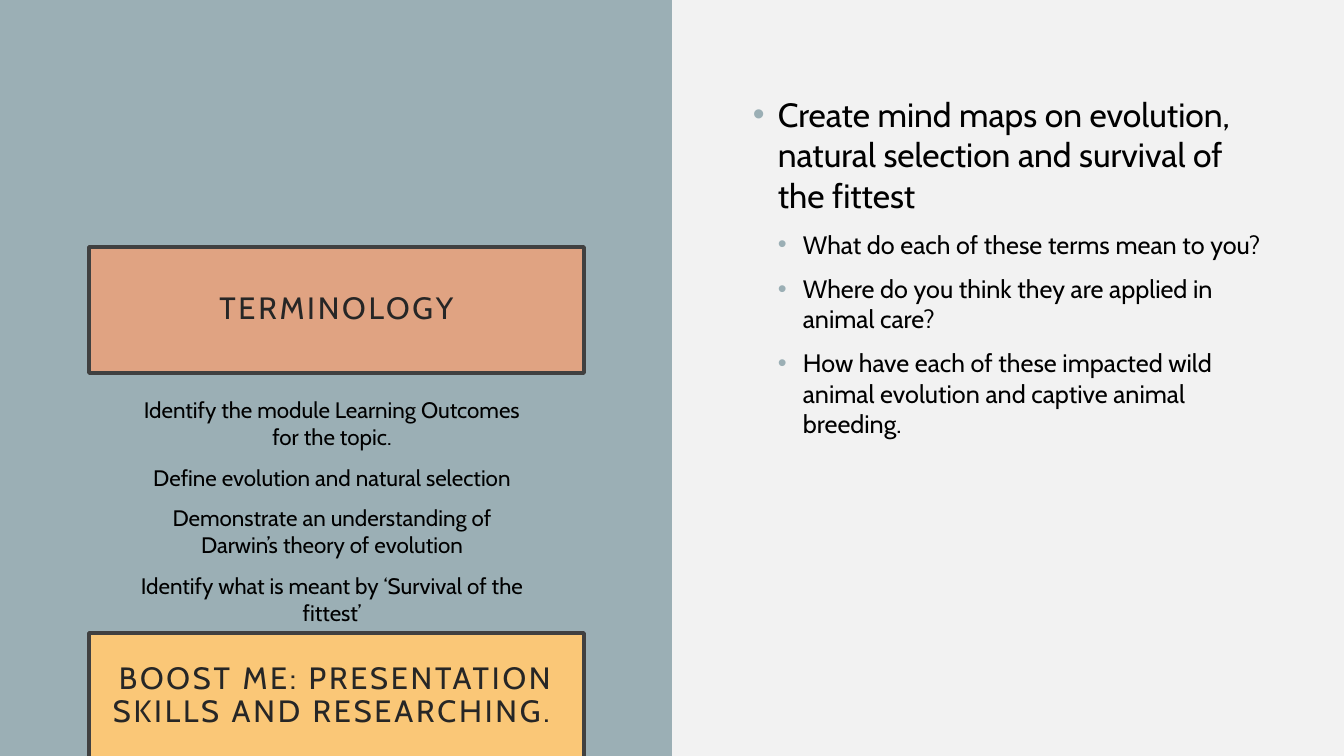
from pptx import Presentation
from pptx.dml.color import RGBColor
from pptx.enum.shapes import MSO_SHAPE
from pptx.enum.text import MSO_ANCHOR, PP_ALIGN
from pptx.oxml.ns import qn
from pptx.util import Emu, Pt
from lxml.etree import SubElement

PX = 914400 / 100.8
FONT = "Cabin"
COLORS = {
    "page": "F2F2F2",
    "panel": "9BAFB5",
    "terminology": "E0A382",
    "boost": "FAC777",
    "border": "404040",
    "heading": "262626",
    "text": "000000",
}
OUTCOMES = [
    "Identify the module Learning Outcomes for the topic.",
    "Define evolution and natural selection",
    "Demonstrate an understanding of Darwin’s theory of evolution",
    "Identify what is meant by ‘Survival of the fittest’",
]
TASK = "Create mind maps on evolution, natural selection and survival of the fittest"
QUESTIONS = [
    "What do each of these terms mean to you?",
    "Where do you think they are applied in animal care?",
    "How have each of these impacted wild animal evolution and captive animal breeding.",
]


def px(length):
    return Emu(round(length * PX))


def color(name):
    return RGBColor.from_string(COLORS[name])


def style(para, size, name):
    para.font.name = FONT
    para.font.size = Pt(size)
    para.font.color.rgb = color(name)


def add_rectangle(page, box, fill):
    shape = page.shapes.add_shape(MSO_SHAPE.RECTANGLE, *map(px, box))
    shape.shadow.inherit = False
    shape.fill.solid()
    shape.fill.fore_color.rgb = color(fill)
    shape.line.fill.background()
    return shape


def add_heading(page, box, text, fill):
    shape = add_rectangle(page, box, fill)
    shape.line.color.rgb = color("border")
    shape.line.width = Pt(2.5)
    frame = shape.text_frame
    frame.word_wrap = True
    frame.vertical_anchor = MSO_ANCHOR.MIDDLE
    frame.margin_left = frame.margin_right = px(20)
    frame.margin_top = frame.margin_bottom = px(20)
    frame.text = text
    para = frame.paragraphs[0]
    para.alignment = PP_ALIGN.CENTER
    para.line_spacing = 0.9
    style(para, 22, "heading")
    # Letter spacing of 2 points
    for span in para.runs:
        span.font._element.set("spc", "200")


def add_paragraphs(page, box, texts):
    frame = page.shapes.add_textbox(*map(px, box)).text_frame
    frame.word_wrap = True
    frame.text = "\n".join(texts)
    for para in frame.paragraphs[1:]:
        para.space_before = Pt(10)
    return frame.paragraphs


def add_bullet(para, level):
    para.level = level
    properties = para._p.get_or_add_pPr()
    properties.set("marL", str(px(25) * (level + 1)))
    properties.set("indent", str(-px(25)))
    bullet_color = SubElement(properties, qn("a:buClr"))
    SubElement(bullet_color, qn("a:srgbClr")).set("val", COLORS["panel"])
    SubElement(properties, qn("a:buFont")).set("typeface", "Arial")
    SubElement(properties, qn("a:buChar")).set("char", "•")


def add_outcomes_panel(page, box):
    left, top, width, height = box
    add_rectangle(page, box, "panel")
    # Framed headings
    add_heading(page, (left + 89, top + 247, 495, 126), "TERMINOLOGY", "terminology")
    add_heading(page, (left + 89, top + 633, 495, 126),
                "BOOST ME: PRESENTATION SKILLS AND RESEARCHING. ", "boost")
    # Learning outcomes between them
    for para in add_paragraphs(page, (left + 123, top + 391, 418, 242), OUTCOMES):
        para.alignment = PP_ALIGN.CENTER
        style(para, 16, "text")


def add_task_panel(page, box):
    left, top, width, height = box
    area = (left + 71, top + 89, 531, 579)
    for index, para in enumerate(add_paragraphs(page, area, [TASK, *QUESTIONS])):
        add_bullet(para, 1 if index else 0)
        style(para, 18 if index else 24, "text")


def main():
    deck = Presentation()
    deck.slide_width, deck.slide_height = px(1344), px(756)
    page = deck.slides.add_slide(deck.slide_layouts[6])
    page.background.fill.solid()
    page.background.fill.fore_color.rgb = color("page")
    add_outcomes_panel(page, (0, 0, 672, 756))
    add_task_panel(page, (672, 0, 672, 756))
    deck.save("out.pptx")


if __name__ == "__main__":
    main()
